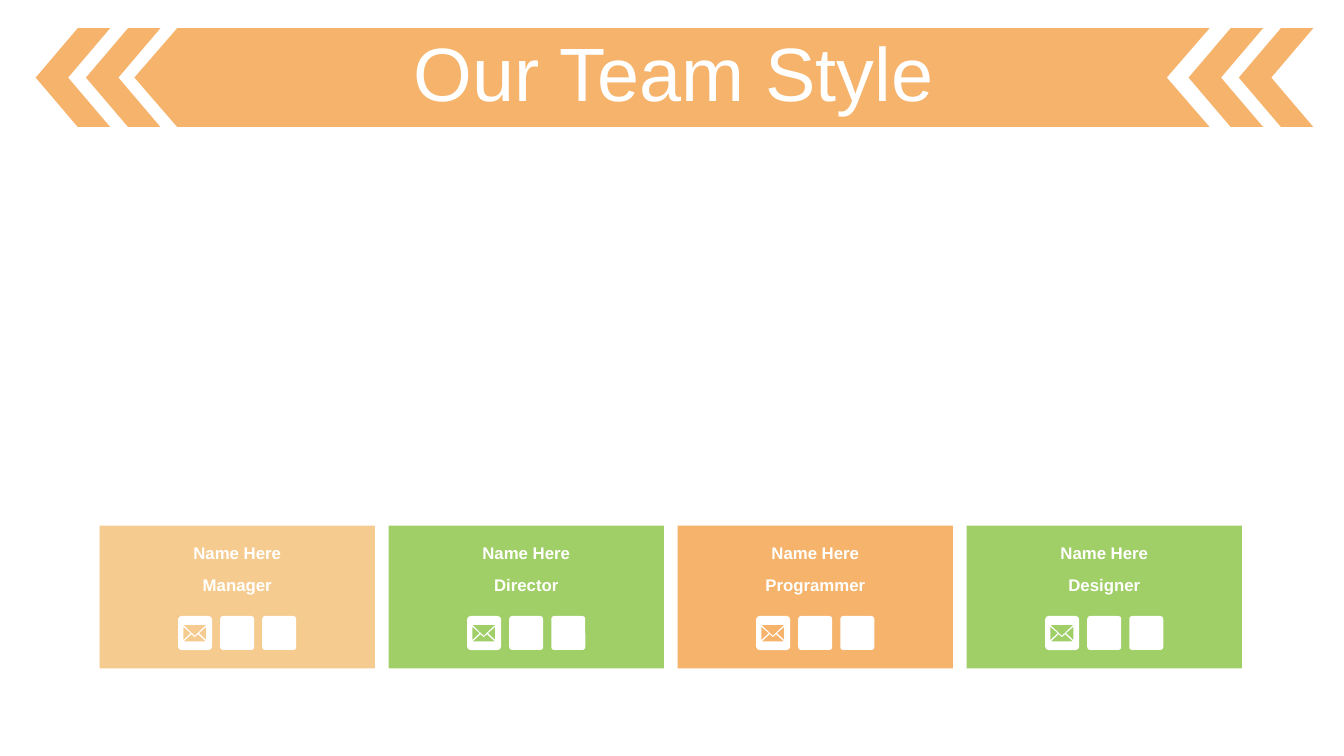
from lxml.etree import SubElement
from pptx import Presentation
from pptx.dml.color import RGBColor
from pptx.enum.shapes import MSO_SHAPE
from pptx.enum.text import MSO_ANCHOR, MSO_AUTO_SIZE, PP_ALIGN
from pptx.oxml.ns import qn
from pptx.util import Pt

WHITE, ORANGE, SAND, GREEN = "FFFFFF", "F3932D", "F2B662", "79BA27"

# Banner measures, in points
BANNER_TOP, BANNER_HEIGHT = 20.1, 70.6
CHEVRON_WIDTH = 53.2
CHEVRON_LEFTS = (25.5, 61.4, 849, 884.9)

# Card measures, in points
CARD_LEFT, CARD_TOP, CARD_PITCH = 71.2, 375.4, 206.45
CARD_WIDTH, CARD_HEIGHT = 196.6, 102.1
LABEL_INSET, LABEL_WIDTH, LABEL_HEIGHT = 30.3, 136, 19.6
LABEL_TOPS = (385.2, 407.7)
ICON_INSET, ICON_TOP, ICON_PITCH, ICON_SIZE = 56, 440, 30.05, 24.3

TEAM = (("Manager", SAND), ("Director", GREEN),
        ("Programmer", ORANGE), ("Designer", GREEN))

# Gaps of the envelope icon: flap, left side, right side, base
ENVELOPE = (
    ((3.8, 6.4), (11.9, 14.2), (20.1, 6.4)),
    ((3.8, 7.7), (3.8, 17.2), (9, 12.3)),
    ((20.1, 7.7), (14.9, 12.3), (20.1, 17.2)),
    ((14.2, 13), (11.9, 15.1), (9.6, 13), (4, 18.2), (19.9, 18.2)),
)


def colour(value):
    return RGBColor.from_string(value)


def set_all(target, values):
    for name, value in values.items():
        setattr(target, name, value)


def paint(shape, value, opacity=100):
    shape.shadow.inherit = False
    shape.line.fill.background()
    shape.fill.solid()
    shape.fill.fore_color.rgb = colour(value)
    if opacity < 100:
        tone = shape.element.spPr.find(qn("a:solidFill"))[0]
        SubElement(tone, qn("a:alpha")).set("val", str(opacity * 1000))


def add_preset(page, kind, left, top, width, height, value, opacity=100):
    shape = page.shapes.add_shape(kind, Pt(left), Pt(top), Pt(width), Pt(height))
    paint(shape, value, opacity)
    return shape


def add_outline(page, contours, value, opacity=100, left=0, top=0):
    """Draw closed contours as one shape; inner contours are gaps."""
    moved = [[(Pt(left + x), Pt(top + y)) for x, y in contour]
             for contour in contours]
    builder = page.shapes.build_freeform(*moved[0][0])
    for index, contour in enumerate(moved):
        if index:
            builder.move_to(*contour[0])
        builder.add_line_segments(contour[1:], close=True)
    paint(builder.convert_to_shape(), value, opacity)


def write(box, text, size, bold=False, spacing=1.0):
    frame = box.text_frame
    set_all(frame, {"word_wrap": True, "auto_size": MSO_AUTO_SIZE.NONE,
                    "vertical_anchor": MSO_ANCHOR.MIDDLE})
    para = frame.paragraphs[0]
    set_all(para, {"alignment": PP_ALIGN.CENTER, "line_spacing": spacing,
                   "space_before": Pt(0)})
    span = para.add_run()
    span.text = text
    set_all(span.font, {"name": "Arial", "size": Pt(size), "bold": bold})
    span.font.color.rgb = colour(WHITE)


def add_banner(page):
    for left in CHEVRON_LEFTS:
        chevron = add_preset(page, MSO_SHAPE.CHEVRON, left, BANNER_TOP,
                             CHEVRON_WIDTH, BANNER_HEIGHT, ORANGE, 70)
        chevron.adjustments[0] = 0.565
        chevron.rotation = 180
    middle = BANNER_TOP + BANNER_HEIGHT / 2
    bottom = BANNER_TOP + BANNER_HEIGHT
    ribbon = ((126.6, BANNER_TOP), (864, BANNER_TOP), (833.4, middle),
              (864, bottom), (126.6, bottom), (96, middle))
    add_outline(page, [ribbon], ORANGE, 70)


def add_title(page, text):
    title = page.shapes.title
    set_all(title, {"left": Pt(25.5), "top": Pt(26.8),
                    "width": Pt(911.5), "height": Pt(56.9)})
    write(title, text, 54, spacing=0.9)
    # Bring the title in front of the banner
    title.element.getparent().append(title.element)


def rounded_square(size):
    """Points of a square with softened corners, clockwise."""
    corner = [(0, 2.4), (0.7, 0.7), (2.4, 0)]
    points = []
    for _ in range(4):
        points += corner
        corner = [(size - y, x) for x, y in corner]
    return points


def add_icons(page, left):
    add_outline(page, [rounded_square(ICON_SIZE), *ENVELOPE], WHITE,
                left=left, top=ICON_TOP)
    # Plain tiles for the two social links
    for place in (1, 2):
        tile = add_preset(page, MSO_SHAPE.ROUNDED_RECTANGLE,
                          left + place * ICON_PITCH, ICON_TOP,
                          ICON_SIZE, ICON_SIZE, WHITE)
        tile.adjustments[0] = 0.09


def add_card(page, left, role, value):
    add_preset(page, MSO_SHAPE.RECTANGLE, left, CARD_TOP,
               CARD_WIDTH, CARD_HEIGHT, value, 70)
    for top, text in zip(LABEL_TOPS, ("Name Here", role)):
        box = page.shapes.add_textbox(Pt(left + LABEL_INSET), Pt(top),
                                      Pt(LABEL_WIDTH), Pt(LABEL_HEIGHT))
        write(box, text, 12, bold=True)
    add_icons(page, left + ICON_INSET)


def main():
    deck = Presentation()
    set_all(deck, {"slide_width": Pt(960), "slide_height": Pt(540)})
    page = deck.slides.add_slide(deck.slide_layouts[5])
    add_banner(page)
    add_title(page, "Our Team Style")
    for index, (role, value) in enumerate(TEAM):
        add_card(page, CARD_LEFT + index * CARD_PITCH, role, value)
    deck.save("out.pptx")


if __name__ == "__main__":
    main()
